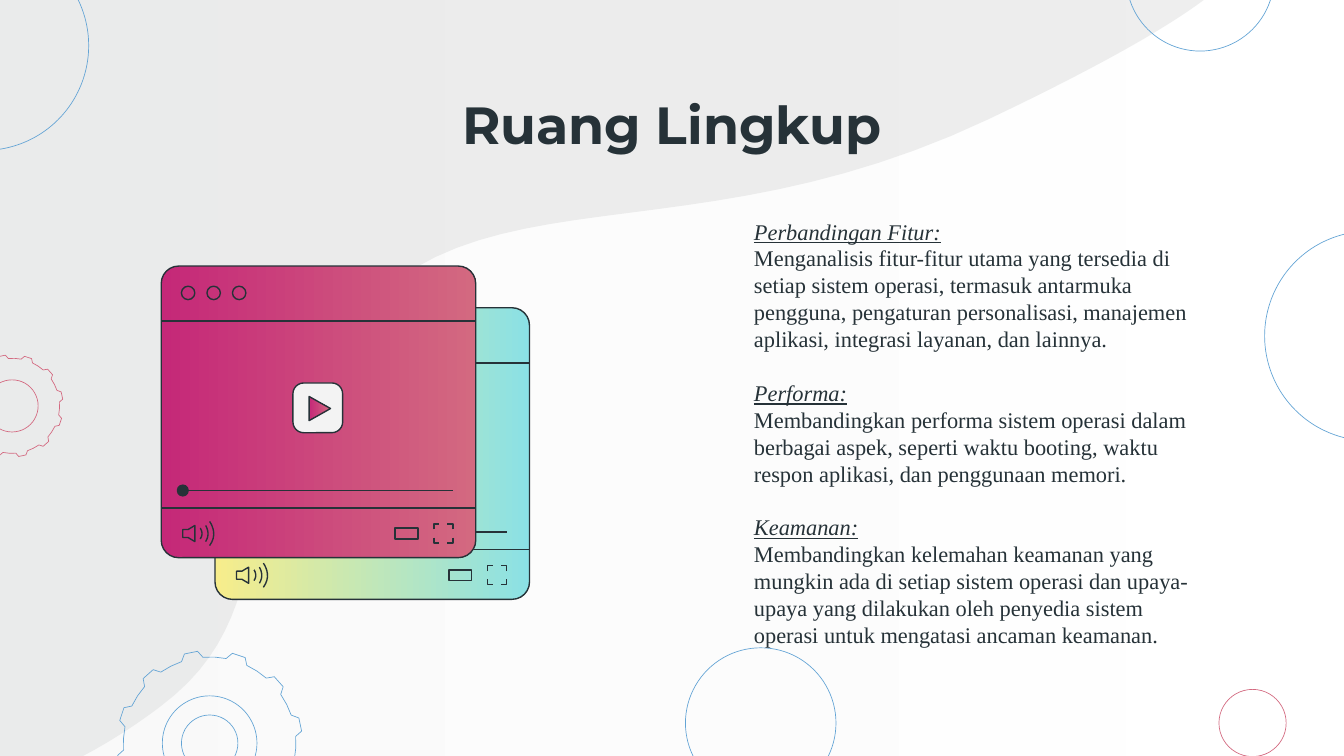
from math import cos, radians, sin

from lxml.etree import SubElement
from pptx import Presentation
from pptx.dml.color import RGBColor
from pptx.enum.shapes import MSO_CONNECTOR, MSO_SHAPE
from pptx.enum.text import MSO_ANCHOR, PP_ALIGN
from pptx.oxml.ns import qn
from pptx.util import Inches, Pt

INK = RGBColor(0x26, 0x32, 0x38)
WHITE = RGBColor(0xFF, 0xFF, 0xFF)
PALE = RGBColor(0xF3, 0xF3, 0xF3)
GREY = RGBColor(0xD6, 0xD7, 0xD7)
BLUE = RGBColor(0x63, 0xA4, 0xD5)
ROSE = RGBColor(0xD3, 0x69, 0x80)
MAGENTA = RGBColor(0xC5, 0x28, 0x78)
YELLOW = RGBColor(0xF7, 0xED, 0x8B)
AQUA = RGBColor(0x8B, 0xE1, 0xE5)

WIDTH = 10
HEIGHT = WIDTH * 9 / 16
THIN, NORMAL = 0.36, 0.75

SECTIONS = [
    ("Perbandingan Fitur:",
     "Menganalisis fitur-fitur utama yang tersedia di setiap sistem operasi, termasuk antarmuka "
     "pengguna, pengaturan personalisasi, manajemen aplikasi, integrasi layanan, dan lainnya."),
    ("Performa:",
     "Membandingkan performa sistem operasi dalam berbagai aspek, seperti waktu booting, waktu "
     "respon aplikasi, dan penggunaan memori."),
    ("Keamanan:",
     "Membandingkan kelemahan keamanan yang mungkin ada di setiap sistem operasi dan upaya-upaya "
     "yang dilakukan oleh penyedia sistem operasi untuk mengatasi ancaman keamanan."),
]


def style(shape, fill=None, line=None, weight=NORMAL):
    """Fill with nothing, one colour or a (left, right) gradient, and set the outline."""
    shape.shadow.inherit = False
    if fill is None:
        shape.fill.background()
    elif isinstance(fill, RGBColor):
        shape.fill.solid()
        shape.fill.fore_color.rgb = fill
    else:
        shape.fill.gradient()
        shape.fill.gradient_angle = 0
        for stop, color in zip(shape.fill.gradient_stops, fill):
            stop.color.rgb = color
    if line is None:
        shape.line.fill.background()
    else:
        shape.line.color.rgb = line
        shape.line.width = Pt(weight)
    return shape


def set_opacity(shape, percent):
    for color in shape.element.spPr.iter(qn("a:srgbClr")):
        SubElement(color, qn("a:alpha"), val=str(percent * 1000))


def add_preset(shapes, kind, left, top, width, height, **look):
    shape = shapes.add_shape(kind, Inches(left), Inches(top), Inches(width), Inches(height))
    return style(shape, **look)


def add_circle(shapes, x, y, radius, **look):
    return add_preset(shapes, MSO_SHAPE.OVAL, x - radius, y - radius, 2 * radius, 2 * radius, **look)


def add_rounded(shapes, left, top, width, height, radius, **look):
    shape = add_preset(shapes, MSO_SHAPE.ROUNDED_RECTANGLE, left, top, width, height, **look)
    shape.adjustments[0] = radius / min(width, height)


def add_outline(shapes, points, close=True, **look):
    points = [(Inches(x), Inches(y)) for x, y in points]
    builder = shapes.build_freeform(*points[0])
    builder.add_line_segments(points[1:], close=close)
    return style(builder.convert_to_shape(), **look)


def add_line(shapes, left, y, width):
    line = shapes.add_connector(MSO_CONNECTOR.STRAIGHT, Inches(left), Inches(y),
                                Inches(left + width), Inches(y))
    line.line.color.rgb = INK
    line.line.width = Pt(NORMAL)
    SubElement(line.element.spPr, qn("a:effectLst"))


def bezier(start, control_1, control_2, end, steps=24):
    """Points along a cubic curve, both ends included."""
    points = []
    for step in range(steps + 1):
        t = step / steps
        weights = ((1 - t) ** 3, 3 * t * (1 - t) ** 2, 3 * t * t * (1 - t), t ** 3)
        points.append(tuple(
            sum(weight * value for weight, value in zip(weights, axis))
            for axis in zip(start, control_1, control_2, end)))
    return points


def add_gear(shapes, x, y, radius, color, teeth=12):
    profile = [(-4.5, 0.93), (-7.5, 1), (-15.8, 1), (-19, 0.93), (-26.6, 0.93)]
    points = []
    for tooth in range(teeth):
        for angle, reach in profile:
            turn = radians(angle - tooth * 360 / teeth)
            points.append((x + radius * reach * cos(turn), y + radius * reach * sin(turn)))
    add_outline(shapes, points, line=color, weight=THIN)
    add_circle(shapes, x, y, radius * 0.51, line=color, weight=THIN)


def add_backdrop(shapes):
    wash = add_preset(shapes, MSO_SHAPE.RECTANGLE, -0.07, -0.07, 10.14, 5.77, fill=(PALE, WHITE))
    set_opacity(wash, 41)

    anchors = [(0.01, 5.88), (0.33, 5.78), (0.74, 5.6), (1.19, 5.26),
               (2.14, 4.55), (1.62, 3.69), (2.57, 2.46),
               (3.51, 1.23), (5.11, 1.95), (7.35, 0.89),
               (8.38, 0.4), (8.85, 0.1), (9.07, -0.09)]
    edge = [(-0.15, -0.25), (-0.15, 5.88)]
    for first in range(0, len(anchors) - 1, 3):
        edge += bezier(*anchors[first:first + 4])
    edge.append((9.07, -0.25))
    set_opacity(add_outline(shapes, edge, fill=GREY), 41)

    circles = [(8.93, -0.17, 0.55, BLUE), (10.19, 2.5, 0.78, BLUE), (9.32, 5.38, 0.25, ROSE),
               (5.66, 5.38, 0.56, BLUE), (-0.12, 0.34, 0.78, BLUE)]
    for x, y, radius, color in circles:
        add_circle(shapes, x, y, radius, line=color, weight=THIN)
    add_gear(shapes, 0.09, 3.02, 0.38, ROSE)
    add_gear(shapes, 1.56, 5.53, 0.69, BLUE)
    add_circle(shapes, 1.56, 5.53, 0.21, line=BLUE, weight=THIN)


def add_speaker(shapes, left, middle):
    cone = [(0, -0.03), (0, 0.03), (0.04, 0.03), (0.09, 0.06), (0.09, -0.06), (0.04, -0.03)]
    add_outline(shapes, [(left + x, middle + y) for x, y in cone], line=INK)
    for offset, bulge, reach in [(0.13, 0.03, 0.04), (0.17, 0.04, 0.06), (0.2, 0.07, 0.09)]:
        x = left + offset
        start, end = (x, middle - reach), (x, middle + reach)
        wave = bezier(start, start, (x + bulge, middle), end, steps=10)
        add_outline(shapes, wave, close=False, line=INK)


def add_fullscreen_icon(shapes, left, top, size=0.14, arm=0.04):
    for x, inward_x in [(left, arm), (left + size, -arm)]:
        for y, inward_y in [(top, arm), (top + size, -arm)]:
            corner = [(x, y + inward_y), (x, y), (x + inward_x, y)]
            add_outline(shapes, corner, close=False, line=INK)


def add_player_window(slide, left, top, colors, width=2.34, height=2.17):
    shapes = slide.shapes.add_group_shape().shapes
    add_rounded(shapes, left, top, width, height, 0.13, fill=colors, line=INK)
    for y in (0.41, 1.8):
        add_line(shapes, left, top + y, width)
    for dot in range(3):
        add_circle(shapes, left + 0.2 + dot * 0.19, top + 0.2, 0.05, line=INK)

    add_rounded(shapes, left + 0.98, top + 0.87, 0.37, 0.37, 0.08, fill=PALE, line=INK)
    triangle = [(1.1, 0.97), (1.1, 1.15), (1.26, 1.06)]
    add_outline(shapes, [(left + x, top + y) for x, y in triangle],
                fill=(MAGENTA, ROSE), line=INK)

    add_line(shapes, left + 0.15, top + 1.67, 2.02)
    add_circle(shapes, left + 0.16, top + 1.67, 0.04, fill=INK, line=INK)
    add_speaker(shapes, left + 0.16, top + 1.99)
    add_preset(shapes, MSO_SHAPE.RECTANGLE, left + 1.74, top + 1.95, 0.17, 0.08, line=INK)
    add_fullscreen_icon(shapes, left + 2.03, top + 1.92)


def add_text_frame(slide, left, top, width, height):
    box = slide.shapes.add_textbox(Inches(left), Inches(top), Inches(width), Inches(height))
    frame = box.text_frame
    frame.word_wrap = True
    frame.vertical_anchor = MSO_ANCHOR.MIDDLE
    frame.margin_left = frame.margin_right = Inches(0.1)
    frame.margin_top = frame.margin_bottom = Inches(0.1)
    return frame


def format_text(paragraph, name, size, bold=False, heading=False):
    font = paragraph.runs[0].font
    font.name, font.size, font.bold = name, Pt(size), bold
    font.italic = font.underline = heading
    font.color.rgb = INK


def add_title(slide, left, top, width, height):
    frame = add_text_frame(slide, left, top, width, height)
    frame.text = "Ruang Lingkup"
    frame.paragraphs[0].alignment = PP_ALIGN.CENTER
    format_text(frame.paragraphs[0], "Montserrat", 28, bold=True)


def add_scope(slide, left, top, width, height):
    frame = add_text_frame(slide, left, top, width, height)
    frame.margin_left = Inches(0.23)
    frame.text = "\n".join(line for section in SECTIONS for line in section)
    for index, paragraph in enumerate(frame.paragraphs):
        heading = index % 2 == 0
        paragraph.line_spacing = 1.0
        paragraph.space_before = Pt(14.4 if heading and index else 0)
        format_text(paragraph, "Times New Roman", 12, heading=heading)


def main():
    presentation = Presentation()
    presentation.slide_width, presentation.slide_height = Inches(WIDTH), Inches(HEIGHT)
    slide = presentation.slides.add_slide(presentation.slide_layouts[6])
    add_backdrop(slide.shapes)
    add_scope(slide, 5.38, 1.86, 3.69, 2.72)
    add_title(slide, 0.78, 0.72, 8.44, 0.4)
    add_player_window(slide, 1.6, 2.29, (YELLOW, AQUA))
    add_player_window(slide, 1.2, 1.98, (MAGENTA, ROSE))
    presentation.save("out.pptx")


if __name__ == "__main__":
    main()
